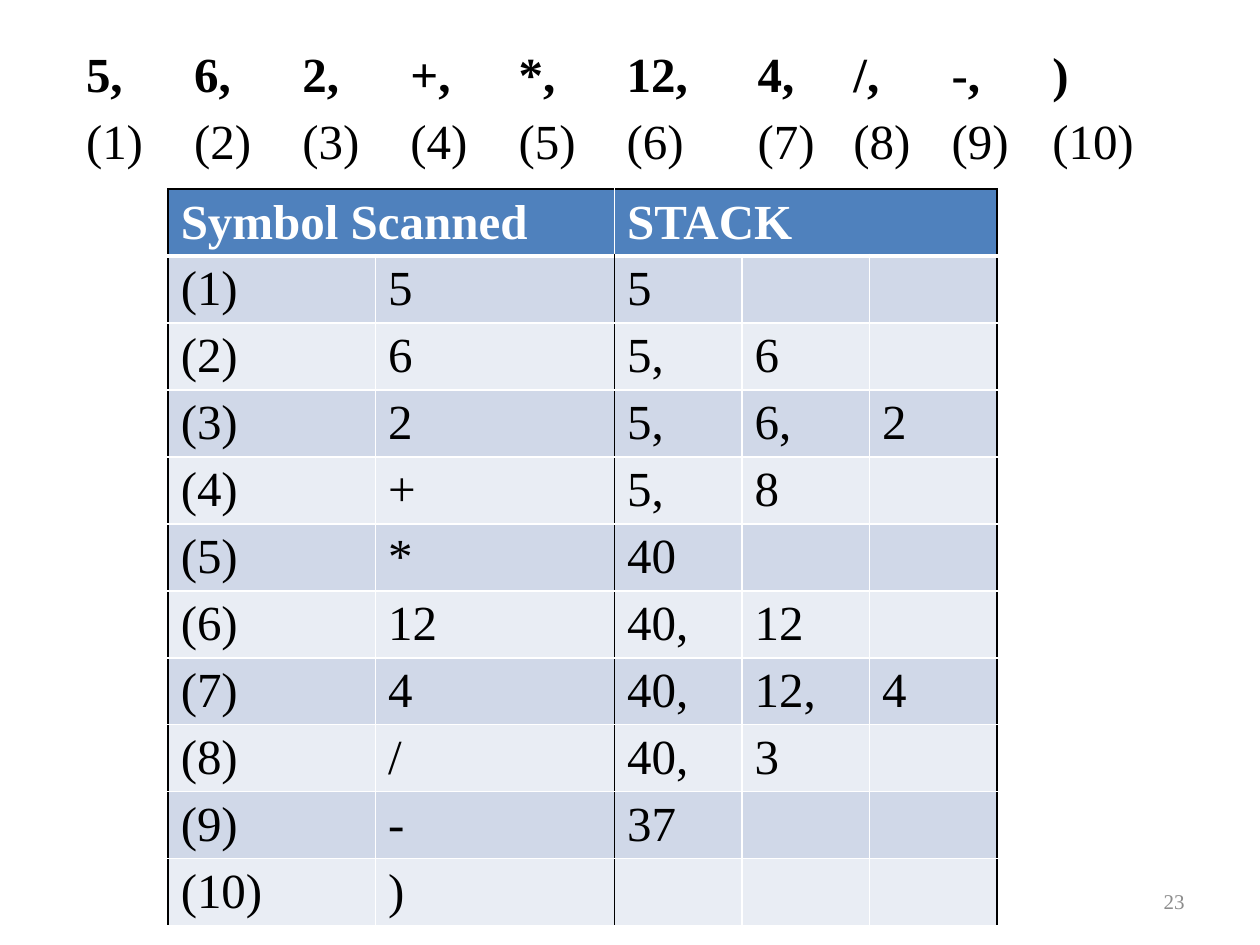
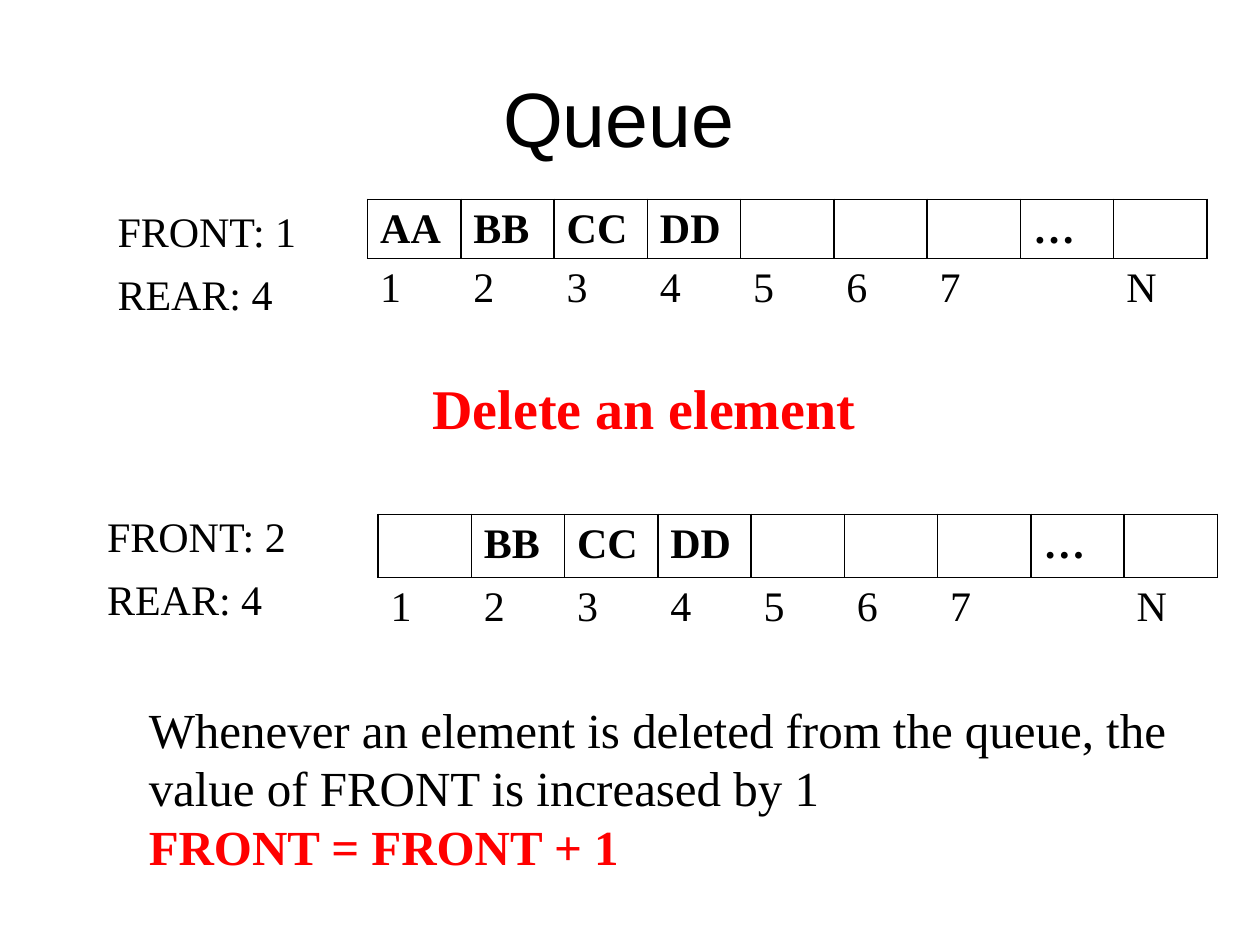
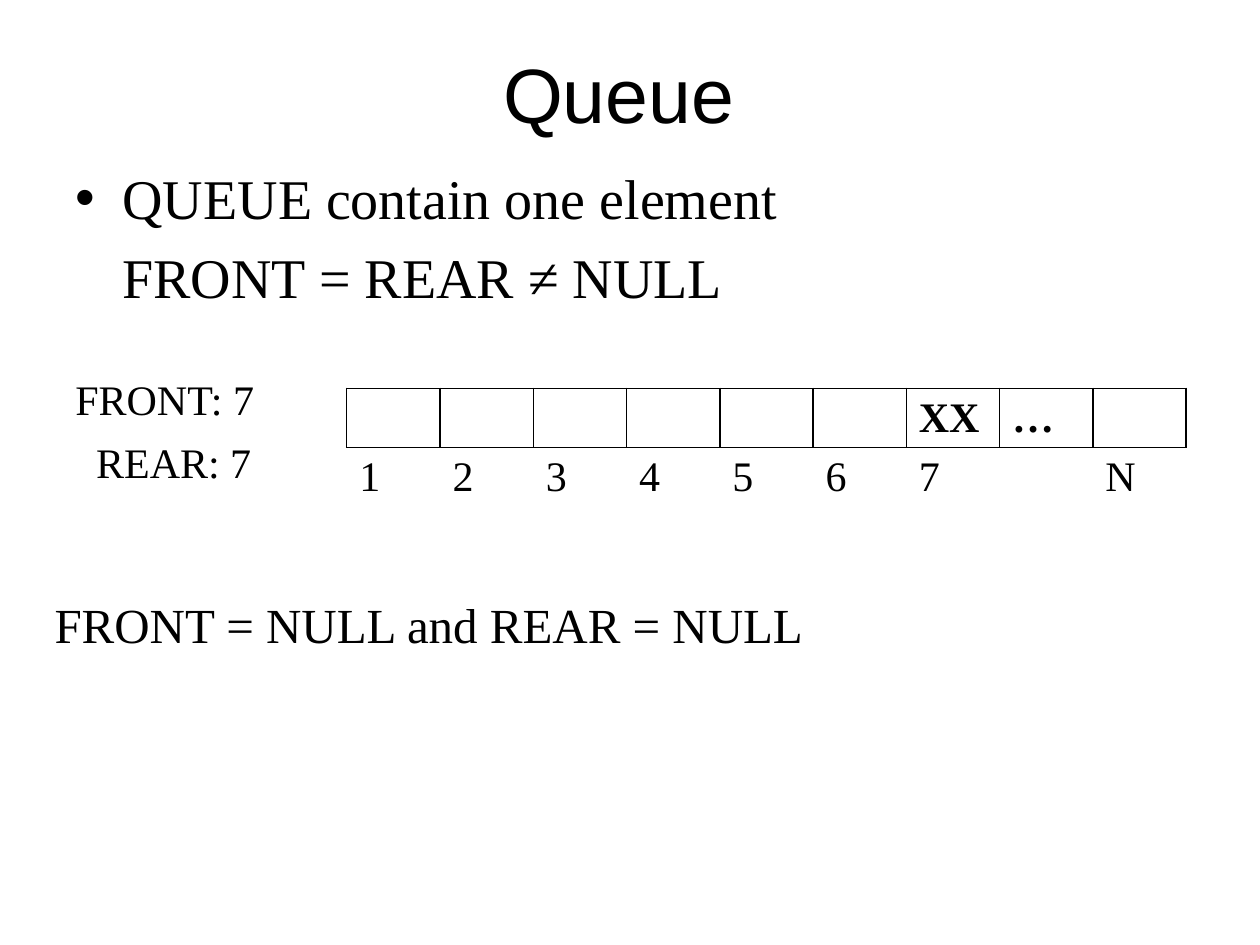
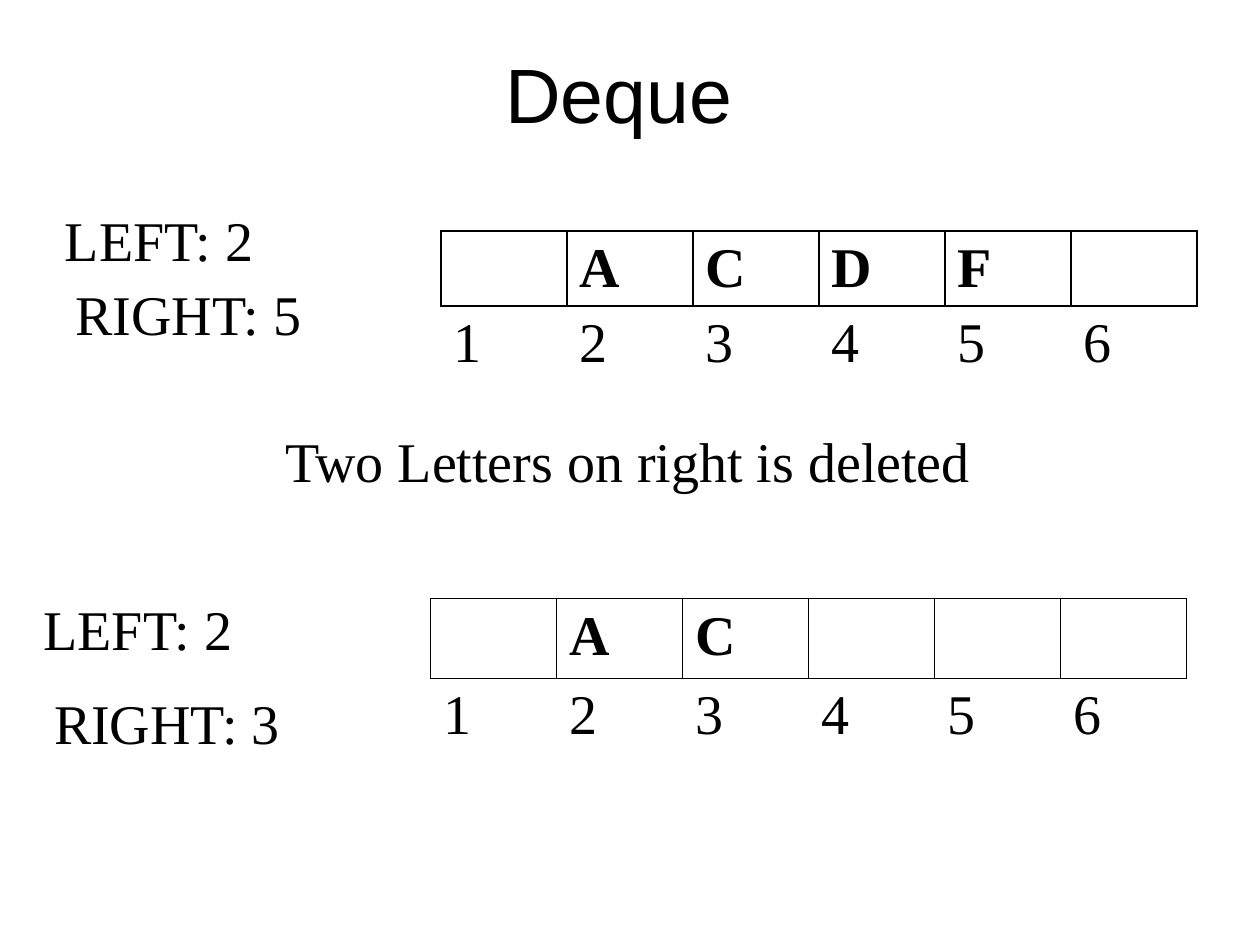
from lxml import etree
from pptx import Presentation
from pptx.dml.color import RGBColor
from pptx.enum.text import MSO_ANCHOR, MSO_AUTO_SIZE, PP_ALIGN
from pptx.oxml.ns import qn
from pptx.util import Cm, Pt

CENTER, RIGHT = PP_ALIGN.CENTER, PP_ALIGN.RIGHT
MIDDLE = MSO_ANCHOR.MIDDLE
GROW = MSO_AUTO_SIZE.SHAPE_TO_FIT_TEXT

BLACK = RGBColor(0x00, 0x00, 0x00)
WHITE = RGBColor(0xFF, 0xFF, 0xFF)
RED = RGBColor(0xFF, 0x00, 0x00)
GRAY = RGBColor(0x8C, 0x8C, 0x8C)
HEADER_BLUE = RGBColor(0x4F, 0x81, 0xBD)
BAND_DARK = RGBColor(0xD0, 0xD8, 0xE8)
BAND_LIGHT = RGBColor(0xE9, 0xED, 0xF4)

BODY = {"name": "Times New Roman", "size": Pt(28), "bold": False, "color": BLACK}
TITLE = BODY | {"name": "Arial", "size": Pt(44)}
PAGE_NUMBER = BODY | {"size": Pt(12), "color": GRAY}
ALERT = BODY | {"bold": True, "color": RED}
NO_STYLE = "{2D5ABB26-0587-4C30-8999-92F81FD0307C}"

QUEUE_LABELS = ["1", "2", "3", "4", "5", "6", "7", "", "N"]
DEQUE_LABELS = ["1", "2", "3", "4", "5", "6"]
QUEUE_SIZE, DEQUE_SIZE = 24, 32
QUEUE_CELL, DEQUE_CELL = 1.88, 2.54
QUEUE_ROW, DEQUE_ROW = 1.19, 1.51

SCANNED = ["5", "6", "2", "+", "*", "12", "4", "/", "-", ")"]
SCANNED_WIDTHS = [2.18] * 5 + [2.64, 1.93, 1.98, 2.03, 2.34]
STACKS = [["5"], ["5,", "6"], ["5,", "6,", "2"], ["5,", "8"], ["40"],
          ["40,", "12"], ["40,", "12,", "4"], ["40,", "3"], ["37"], []]
STACK_WIDTHS = [4.18, 4.82] + [2.57] * 3
STACK_ROW = 1.35


def write(p, text, fmt):
    r = p.add_run()
    r.text = text
    for key, value in fmt.items():
        if key == "color":
            r.font.color.rgb = value
        else:
            setattr(r.font, key, value)


def add_text(s, box, lines, **frame):
    """Put (text, format) lines in a box given in centimetres."""
    tf = s.shapes.add_textbox(*map(Cm, box)).text_frame
    tf.word_wrap = True
    for key, value in frame.items():
        setattr(tf, key, value)
    for i, (text, fmt) in enumerate(lines):
        p = tf.add_paragraph() if i else tf.paragraphs[0]
        write(p, text, fmt)
    return tf


def add_title(s, text, height=2.21):
    # The wider right margin sets the title slightly left of centre.
    tf = add_text(s, (1.27, 0.76, 22.86, height), [(text, TITLE)],
                  vertical_anchor=MIDDLE, margin_right=Cm(0.7))
    tf.paragraphs[0].alignment = CENTER


def add_plain_table(s, left, top, widths, heights):
    frame = s.shapes.add_table(len(heights), len(widths), Cm(left), Cm(top),
                               Cm(sum(widths)), Cm(sum(heights)))
    table = frame.table
    table.first_row = table.horz_banding = False
    table._tbl.tblPr.find(qn("a:tableStyleId")).text = NO_STYLE
    for column, width in zip(table.columns, widths):
        column.width = Cm(width)
    for row, height in zip(table.rows, heights):
        row.height = Cm(height)
    # A slim bottom margin lets the rows keep their set height.
    for cell in table.iter_cells():
        cell.margin_bottom = Cm(0.02)
    return table


def set_borders(cell, **sides):
    """Draw borders; each side L, R, T or B is a (colour, points) pair."""
    tcPr = cell._tc.get_or_add_tcPr()
    for side in "LRTB":
        if side in sides:
            color, points = sides[side]
            ln = etree.SubElement(tcPr, qn(f"a:ln{side}"), w=str(Pt(points)))
            fill = etree.SubElement(ln, qn("a:solidFill"))
            etree.SubElement(fill, qn("a:srgbClr"), val=str(color))


def write_cell(cell, text, fmt):
    if text:
        write(cell.text_frame.paragraphs[0], text, fmt)


def scanned_strip(s, left, top):
    table = add_plain_table(s, left, top, SCANNED_WIDTHS, [STACK_ROW] * 2)
    last = len(SCANNED) - 1
    for i, symbol in enumerate(SCANNED):
        text = symbol if i == last else symbol + ","
        write_cell(table.cell(0, i), text, BODY | {"bold": True})
        write_cell(table.cell(1, i), f"({i + 1})", BODY)


def stack_table(s, left, top):
    rows = [["Symbol Scanned", "", "STACK", "", ""]]
    for i, (symbol, stack) in enumerate(zip(SCANNED, STACKS), 1):
        rows.append([f"({i})", symbol] + stack + [""] * (3 - len(stack)))
    table = add_plain_table(s, left, top, STACK_WIDTHS, [STACK_ROW] * len(rows))
    table.first_row = table.horz_banding = True
    table.cell(0, 0).merge(table.cell(0, 1))
    table.cell(0, 2).merge(table.cell(0, 4))
    header = BODY | {"bold": True, "color": WHITE}
    black, white = (BLACK, 1), (WHITE, 1)
    for i, row in enumerate(rows):
        is_header = i == 0
        left_edges, right_edges = ((0,), (2, 3, 4)) if is_header else ((0, 2), (1, 4))
        for j, text in enumerate(row):
            cell = table.cell(i, j)
            write_cell(cell, text, header if is_header else BODY)
            set_borders(cell,
                        L=black if j in left_edges else white,
                        R=black if j in right_edges else white,
                        T=black if is_header else (WHITE, 3 if i == 1 else 1),
                        B=(WHITE, 3) if is_header else white)
            cell.fill.solid()
            cell.fill.fore_color.rgb = (HEADER_BLUE if is_header else
                                        BAND_DARK if i % 2 else BAND_LIGHT)


def array_view(s, left, top, values, labels, cell_width, heights, size):
    """Draw boxed array cells with their index labels underneath."""
    table = add_plain_table(s, left, top, [cell_width] * len(labels), heights)
    fmt = BODY | {"size": Pt(size)}
    line = (BLACK, 1)
    for i, label in enumerate(labels):
        value, index = table.cell(0, i), table.cell(1, i)
        write_cell(value, values.get(label, ""), fmt | {"bold": True})
        write_cell(index, label, fmt)
        set_borders(value, L=line, R=line, T=line, B=line)
        set_borders(index, T=line)


def queue_view(s, left, top, values, height=QUEUE_ROW):
    array_view(s, left, top, values | {"": "…"}, QUEUE_LABELS, QUEUE_CELL,
               [height, QUEUE_ROW], QUEUE_SIZE)


def deque_view(s, left, top, values, height=DEQUE_ROW):
    array_view(s, left, top, values, DEQUE_LABELS, DEQUE_CELL,
               [height, DEQUE_ROW], DEQUE_SIZE)


def pointers(s, left, top, texts, size, step=1.27, shift=0, width=5.5):
    """Stack pointer captions, each moved down by step and right by shift."""
    height = 1.27 if size == QUEUE_SIZE else 1.62
    for i, text in enumerate(texts):
        add_text(s, (left + i * shift, top + i * step, width, height),
                 [(text, BODY | {"size": Pt(size)})], auto_size=GROW)


def bulleted_text(s, box, lines):
    """Bullet the first line and align the others under its text."""
    tf = add_text(s, box, [(line, BODY | {"size": Pt(32)}) for line in lines],
                  margin_top=Cm(0.11))
    for i, p in enumerate(tf.paragraphs):
        pPr = p._p.get_or_add_pPr()
        pPr.set("marL", str(Cm(0.95)))
        pPr.set("indent", str(0 if i else -Cm(0.95)))
        if i:
            p.space_before = Pt(7)
        else:
            etree.SubElement(pPr, qn("a:buFont"), typeface="Arial")
            etree.SubElement(pPr, qn("a:buChar"), char="•")


def postfix_slide(s):
    tf = add_text(s, (18.2, 17.65, 5.93, 1.02), [("23", PAGE_NUMBER)],
                  vertical_anchor=MIDDLE)
    tf.paragraphs[0].alignment = RIGHT
    scanned_strip(s, 1.48, 0.85)
    stack_table(s, 3.39, 3.81)


def queue_delete_slide(s):
    add_title(s, "Queue", 3.18)
    letters = {"2": "BB", "3": "CC", "4": "DD"}
    queue_view(s, 7.41, 4.02, {"1": "AA"} | letters)
    pointers(s, 2.12, 4.02, ["FRONT: 1", "REAR: 4"], QUEUE_SIZE, width=4.65)
    add_text(s, (8.47, 7.41, 13.97, 1.62),
             [("Delete an element", ALERT | {"size": Pt(32)})], auto_size=GROW)
    queue_view(s, 7.62, 10.37, letters, 1.27)
    pointers(s, 1.91, 10.16, ["FRONT: 2", "REAR: 4"], QUEUE_SIZE, width=4.65)
    add_text(s, (2.75, 13.97, 21.59, 3.84),
             [("Whenever an element is deleted from the queue, the value of "
               "FRONT is increased by 1", BODY),
              ("FRONT = FRONT + 1", ALERT)], auto_size=GROW)


def queue_single_slide(s):
    add_title(s, "Queue")
    bulleted_text(s, (1.27, 3.18, 22.86, 3.18),
                  ["QUEUE contain one element", "FRONT = REAR ≠ NULL"])
    queue_view(s, 6.99, 7.83, {"7": "XX"})
    pointers(s, 1.27, 7.41, ["FRONT: 7", "REAR: 7"], QUEUE_SIZE, shift=0.42)
    add_text(s, (0.85, 11.86, 24.13, 1.45),
             [("FRONT = NULL and REAR = NULL", BODY)], auto_size=GROW)


def deque_slide(s):
    add_title(s, "Deque")
    letters = {"2": "A", "3": "C"}
    deque_view(s, 8.89, 4.66, letters | {"4": "D", "5": "F"})
    pointers(s, 1.06, 4.02, ["LEFT: 2", "RIGHT: 5"], DEQUE_SIZE, 1.49, 0.21)
    add_text(s, (5.5, 8.47, 18.63, 1.62),
             [("Two Letters on right is deleted", BODY | {"size": Pt(32)})],
             auto_size=GROW)
    deque_view(s, 8.68, 12.07, letters, 1.61)
    pointers(s, 0.63, 11.86, ["LEFT: 2", "RIGHT: 3"], DEQUE_SIZE, 1.9, 0.21)


def main():
    prs = Presentation()
    prs.slide_width, prs.slide_height = Cm(25.4), Cm(19.05)
    blank = prs.slide_layouts[6]
    for build in (postfix_slide, queue_delete_slide, queue_single_slide, deque_slide):
        build(prs.slides.add_slide(blank))
    prs.save("out.pptx")


if __name__ == "__main__":
    main()
